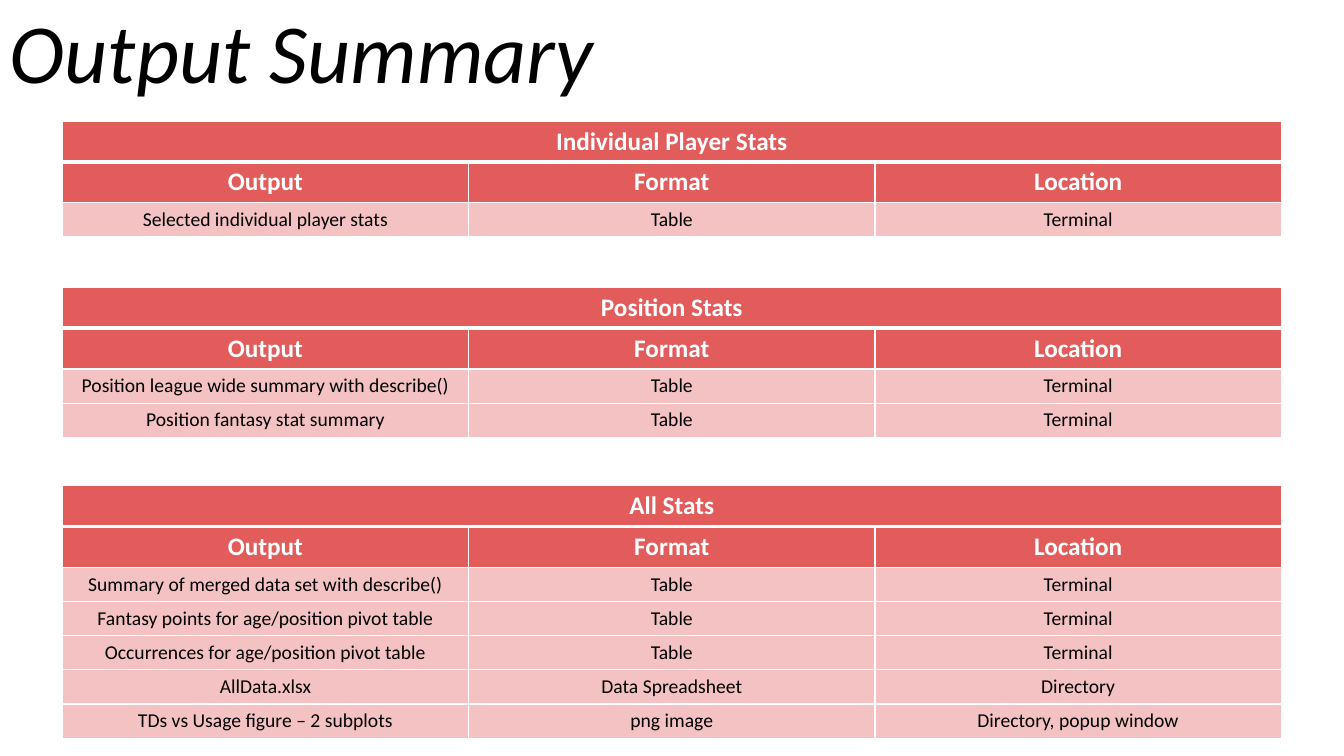
"""Build the Output Summary slide with its three tables of outputs."""
import lxml.etree
import pptx
import pptx.dml.color
import pptx.enum.text
import pptx.oxml.ns
import pptx.util

Cm = pptx.util.Cm
Pt = pptx.util.Pt
Align = pptx.enum.text.PP_ALIGN
qn = pptx.oxml.ns.qn
hues = {"head": "E25C5C", "body": "F4C2C2", "line": "FFFFFF", "text": "000000"}


def write(frame, text, size, hue="text", bold=False, slant=False,
          align=Align.LEFT, lead=1.0):
    para = frame.paragraphs[0]
    para.alignment = align
    para.line_spacing = lead
    run = para.add_run()
    run.text = text
    run.font.name = "Calibri"
    run.font.size = Pt(size)
    run.font.bold = bold
    run.font.italic = slant
    run.font.color.rgb = pptx.dml.color.RGBColor.from_string(hues[hue])


def edge(cell, side, width):
    line = lxml.etree.SubElement(cell._tc.get_or_add_tcPr(), qn("a:ln" + side),
                                 w=str(Pt(width)))
    fill = lxml.etree.SubElement(line, qn("a:solidFill"))
    lxml.etree.SubElement(fill, qn("a:srgbClr"), val=hues["line"])


deck = pptx.Presentation()
deck.slide_width = Cm(33.87)
deck.slide_height = Cm(19.05)
slide = deck.slides.add_slide(deck.slide_layouts[6])

title = slide.shapes.add_textbox(Cm(0), Cm(0.15), Cm(23.47), Cm(3.89)).text_frame
title.word_wrap = True
write(title, "Output Summary", 60, slant=True, lead=0.9)

heads = ("Output", "Format", "Location")
groups = [
    (3.05, "Individual Player Stats", [
        ("Selected individual player stats", "Table", "Terminal"),
    ]),
    (7.24, "Position Stats", [
        ("Position league wide summary with describe()", "Table", "Terminal"),
        ("Position fantasy stat summary", "Table", "Terminal"),
    ]),
    (12.24, "All Stats", [
        ("Summary of merged data set with describe()", "Table", "Terminal"),
        ("Fantasy points for age/position pivot table", "Table", "Terminal"),
        ("Occurrences for age/position pivot table", "Table", "Terminal"),
        ("AllData.xlsx", "Data Spreadsheet", "Directory"),
        ("TDs vs Usage figure – 2 subplots", "png image", "Directory, popup window"),
    ]),
]

for top, name, items in groups:
    rows = [(name, "", ""), heads, *items]
    highs = [1.03, 1.03] + [0.86] * len(items)
    table = slide.shapes.add_table(len(rows), len(heads), Cm(1.57), Cm(top),
                                   Cm(30.72), Cm(sum(highs))).table
    table.horz_banding = False
    for col in table.columns:
        col.width = Cm(10.24)
    table.cell(0, 0).merge(table.cell(0, 2))
    for r, row in enumerate(rows):
        table.rows[r].height = Cm(highs[r])
        head = r < 2
        for c, text in enumerate(row):
            cell = table.cell(r, c)
            for side in "LRTB":
                thick = (r, side) in [(0, "B"), (1, "T")]
                edge(cell, side, 3 if thick else 1)
            cell.fill.solid()
            cell.fill.fore_color.rgb = pptx.dml.color.RGBColor.from_string(
                hues["head" if head else "body"])
            if text:
                write(cell.text_frame, text, 18 if head else 14,
                      hue="line" if head else "text", bold=head,
                      align=Align.CENTER)

deck.save("out.pptx")
